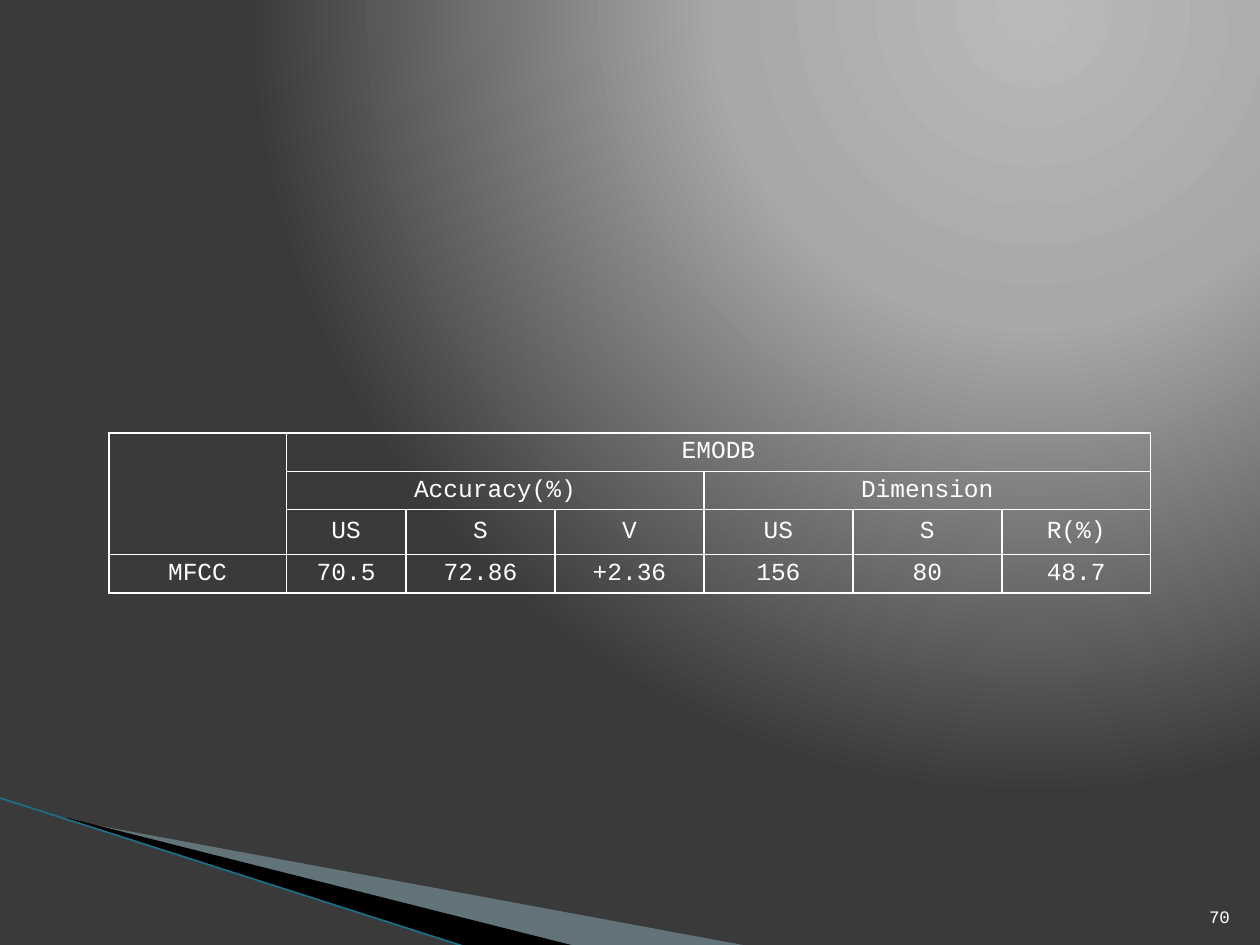
from lxml import etree
from pptx import Presentation
from pptx.dml.color import RGBColor
from pptx.enum import shapes, text
from pptx.oxml import ns
from pptx.util import Pt

# Content
ROWS = [
    ["", "EMODB", "", "", "", "", ""],
    ["", "Accuracy(%)", "", "", "Dimension", "", ""],
    ["", "US", "S", "V", "US", "S", "R(%)"],
    ["MFCC", "70.5", "72.86", "+2.36", "156", "80", "48.7"],
]
SPANS = [((0, 0), (2, 0)), ((0, 1), (0, 6)), ((1, 1), (1, 3)), ((1, 4), (1, 6))]
PAGE_NUMBER = "70"

# Look, lengths in points
FONT = "Courier New"
WHITE = "FFFFFF"
GLOW = [(0, "B9B9B9"), (40, "A8A8A8"), (100, "3A3A3A")]
GLOW_CENTRE = {"l": 65, "t": 0, "r": 0, "b": 98}
TABLE_LEFT, TABLE_TOP, ROW_HEIGHT = 62.2, 247.5, 21.9
COLUMN_WIDTHS = [101.4, 68.5] + [85.1] * 5
WEDGES = [  # points, colour, opacity in percent
    ([(39.6, 468.7), (428.4, 540.7), (328.3, 540.7), (39.6, 468)], "A0CBDC", 40),
    ([(38.2, 467.3), (329, 540.7), (267.8, 541.4), (38.9, 468)], "000000", 100),
]
EDGE = [(-0.7, 455.8), (267.1, 541.4)]
EDGE_COLOUR = "1C6F87"


def rgb(value):
    return RGBColor.from_string(value)


def add(parent, tag, **attributes):
    child = etree.SubElement(parent, ns.qn(tag))
    for key, value in attributes.items():
        child.set(key, str(value))
    return child


def write(frame, words, size, align):
    paragraph = frame.paragraphs[0]
    paragraph.alignment = align
    run = paragraph.add_run()
    run.text = words
    run.font.name, run.font.size = FONT, Pt(size)
    run.font.color.rgb = rgb(WHITE)


def paint_background(slide):
    slide.background.fill.solid()
    holder = slide.element.find(".//" + ns.qn("p:bgPr"))
    holder.remove(holder[0])
    gradient = add(holder, "a:gradFill", rotWithShape=1)
    holder.insert(0, gradient)
    stops = add(gradient, "a:gsLst")
    for position, colour in GLOW:
        add(add(stops, "a:gs", pos=position * 1000), "a:srgbClr", val=colour)
    circle = add(gradient, "a:path", path="circle")
    add(circle, "a:fillToRect", **{k: v * 1000 for k, v in GLOW_CENTRE.items()})


def draw_wedge(slide, points, colour, opacity):
    start, *rest = [(Pt(x), Pt(y)) for x, y in points]
    builder = slide.shapes.build_freeform(*start)
    builder.add_line_segments(rest, close=True)
    wedge = builder.convert_to_shape()
    wedge.shadow.inherit = False
    wedge.line.fill.background()
    wedge.fill.solid()
    wedge.fill.fore_color.rgb = rgb(colour)
    if opacity < 100:
        tint = wedge.element.spPr.find(ns.qn("a:solidFill"))[0]
        add(tint, "a:alpha", val=opacity * 1000)


def draw_edge(slide):
    ends = [Pt(length) for point in EDGE for length in point]
    edge = slide.shapes.add_connector(shapes.MSO_CONNECTOR.STRAIGHT, *ends)
    edge.line.color.rgb = rgb(EDGE_COLOUR)
    edge.line.width = Pt(0.95)
    add(edge.element.spPr, "a:effectLst")


def add_borders(cell):
    properties = cell._tc.get_or_add_tcPr()
    for place, side in enumerate(("a:lnL", "a:lnR", "a:lnT", "a:lnB")):
        border = add(properties, side, w=Pt(1))
        add(add(border, "a:solidFill"), "a:srgbClr", val=WHITE)
        properties.insert(place, border)


def build_results(slide):
    results = slide.shapes.add_table(
        len(ROWS), len(COLUMN_WIDTHS), Pt(TABLE_LEFT), Pt(TABLE_TOP),
        Pt(sum(COLUMN_WIDTHS)), Pt(ROW_HEIGHT * len(ROWS))).table
    results.first_row = results.horz_banding = False
    for column, width in zip(results.columns, COLUMN_WIDTHS):
        column.width = Pt(width)
    for r, words in enumerate(ROWS):
        results.rows[r].height = Pt(ROW_HEIGHT)
        for c, word in enumerate(words):
            cell = results.cell(r, c)
            cell.fill.background()
            cell.vertical_anchor = text.MSO_ANCHOR.MIDDLE
            cell.margin_left = cell.margin_right = Pt(5)
            cell.margin_top = cell.margin_bottom = Pt(2.8)
            write(cell.text_frame, word, 14, text.PP_ALIGN.CENTER)
            add_borders(cell)
    for first, last in SPANS:
        results.cell(*first).merge(results.cell(*last))


def add_page_number(slide):
    number = slide.shapes.add_textbox(Pt(681.1), Pt(504.7), Pt(28.8), Pt(28.8))
    frame = number.text_frame
    frame.word_wrap = True
    frame.vertical_anchor = text.MSO_ANCHOR.BOTTOM
    write(frame, PAGE_NUMBER, 10, text.PP_ALIGN.RIGHT)


def main():
    deck = Presentation()
    deck.slide_width, deck.slide_height = Pt(720), Pt(540)
    slide = deck.slides.add_slide(deck.slide_layouts[6])
    paint_background(slide)
    for wedge in WEDGES:
        draw_wedge(slide, *wedge)
    draw_edge(slide)
    build_results(slide)
    add_page_number(slide)
    deck.save("out.pptx")


if __name__ == "__main__":
    main()
